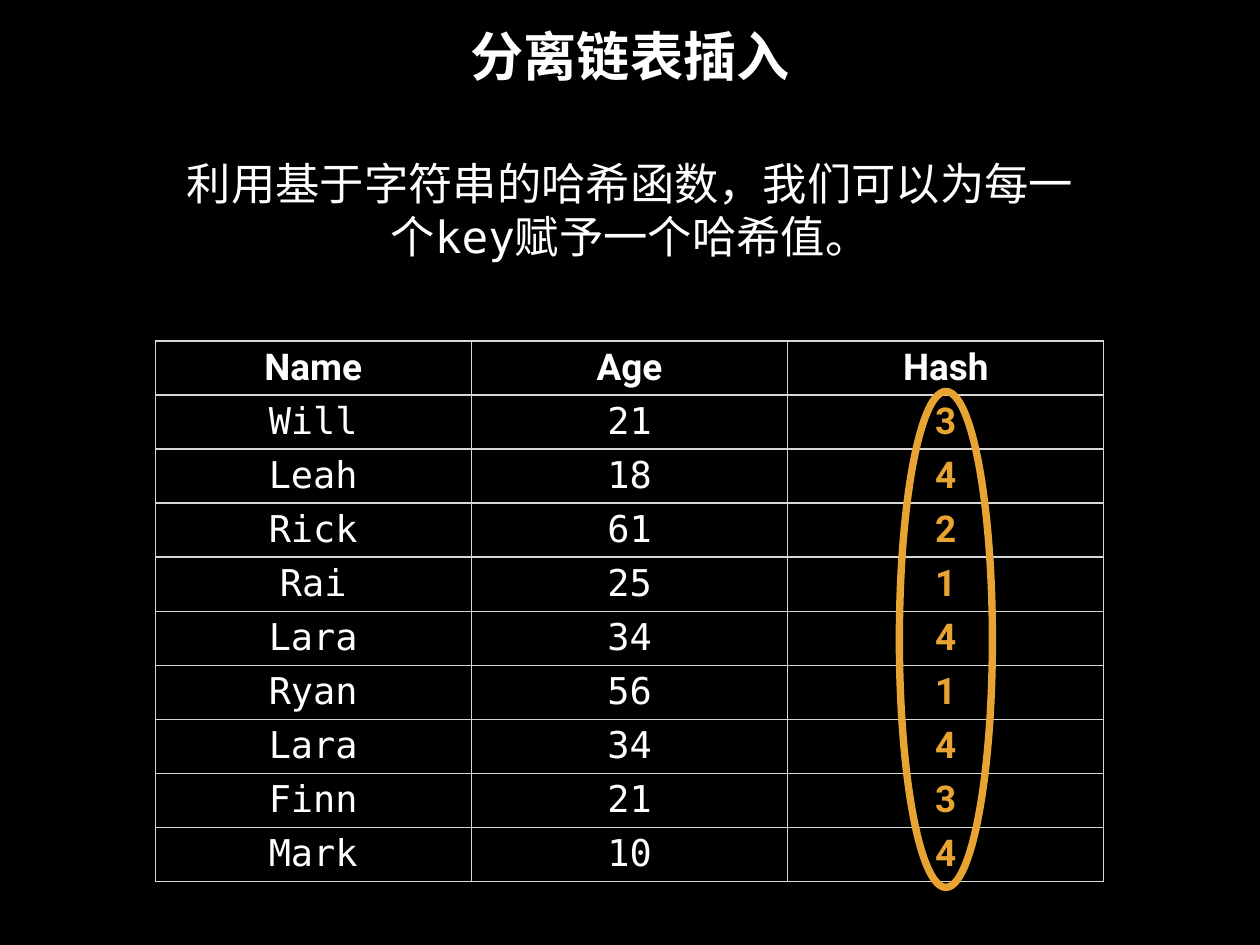
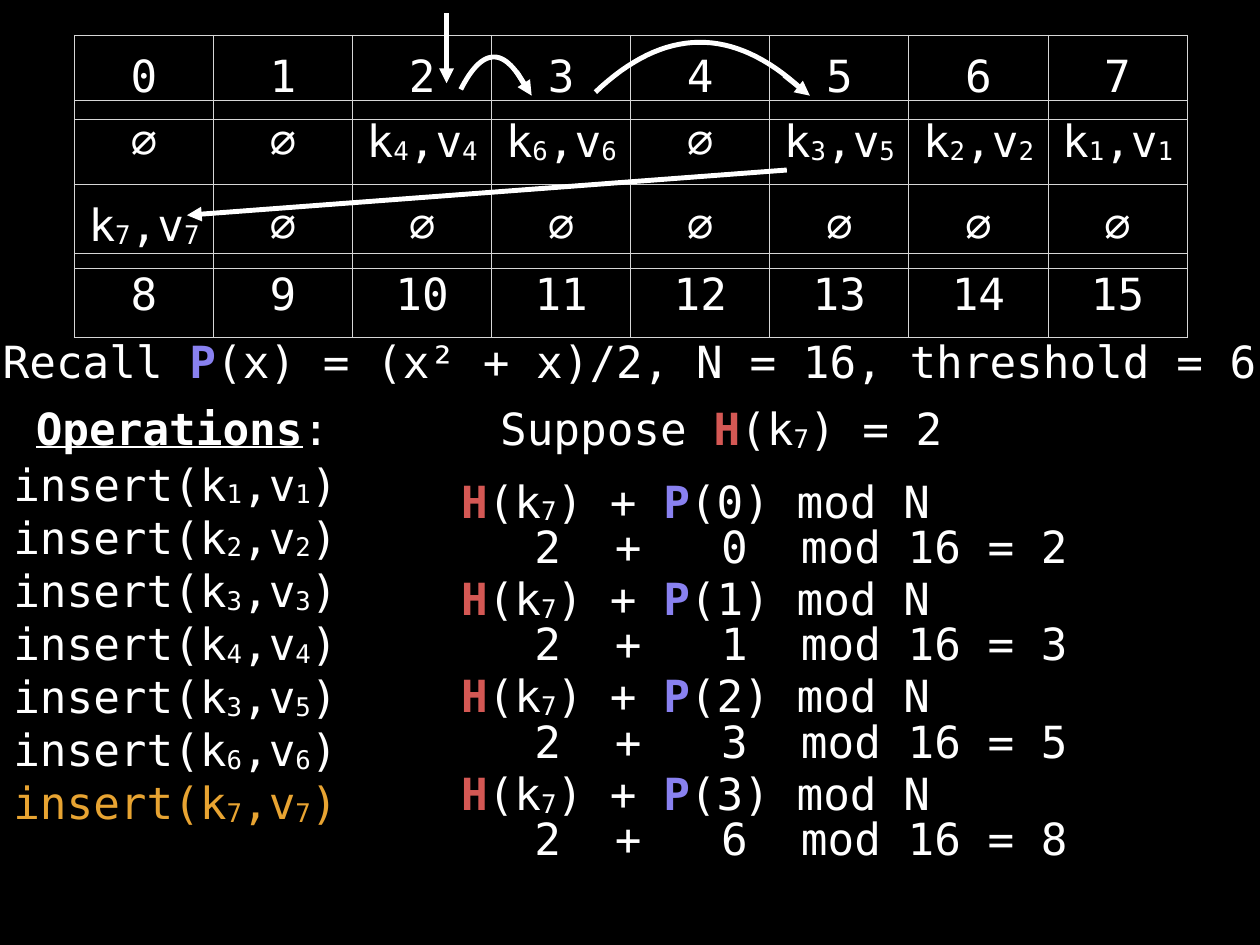
"""Builds two hash table slides: hash values for separate chaining, and quadratic probing."""
from dataclasses import dataclass

from lxml import etree
from pptx import Presentation
from pptx.dml.color import RGBColor
from pptx.enum.shapes import MSO_CONNECTOR, MSO_SHAPE
from pptx.enum.text import MSO_ANCHOR, PP_ALIGN
from pptx.oxml.ns import qn
from pptx.util import Pt

LEFT, CENTER = PP_ALIGN.LEFT, PP_ALIGN.CENTER
TOP, MIDDLE = MSO_ANCHOR.TOP, MSO_ANCHOR.MIDDLE
STRAIGHT, OVAL = MSO_CONNECTOR.STRAIGHT, MSO_SHAPE.OVAL
PX = 9144
SLIDE_W, SLIDE_H = 1422, 1067


@dataclass(frozen=True)
class Theme:
    """Colours, fonts and sizes."""
    back: str = "000000"
    text: str = "FFFFFF"
    grid: str = "D6D6D6"
    accent: str = "E8A432"
    hash: str = "D45854"
    probe: str = "8981F0"
    mono: str = "DejaVu Sans Mono"
    sans: str = "Roboto"
    title: float = 43.2
    body: int = 36
    table: int = 30
    inset: int = 5
    grid_line: int = 1
    arrow_line: int = 4
    ring_line: int = 6


T = Theme()
STYLES = {
    "": {},
    "title": {"size": T.title, "bold": True},
    "head": {"size": T.table, "font": T.sans, "bold": True},
    "data": {"size": T.table},
    "hash value": {"size": T.table, "font": T.sans, "bold": True, "color": T.accent},
    "sub": {"sub": True},
    "new": {"color": T.accent},
    "new sub": {"color": T.accent, "sub": True},
    "H": {"color": T.hash, "bold": True},
    "P": {"color": T.probe, "bold": True},
    "heading": {"bold": True, "underline": True},
}

TITLE = "分离链表插入"
INTRO = "利用基于字符串的哈希函数，我们可以为每一个key赋予一个哈希值。"
HEADERS = ["Name", "Age", "Hash"]
PEOPLE = [
    ("Will", 21, 3), ("Leah", 18, 4), ("Rick", 61, 2),
    ("Rai", 25, 1), ("Lara", 34, 4), ("Ryan", 56, 1),
    ("Lara", 34, 4), ("Finn", 21, 3), ("Mark", 10, 4),
]

N, HALF, START = 16, 8, 2
INSERTS = [(1, 1), (2, 2), (3, 3), (4, 4), (3, 5), (6, 6), (7, 7)]
SLOTS = {2: (4, 4), 3: (6, 6), 5: (3, 5), 6: (2, 2), 7: (1, 1), 8: (7, 7)}
SLOT_TABLE_TOPS = {"first": 113, "second": 208, "first index": 40, "second index": 286}
H_K7 = [("H", "H"), ("(k", ""), ("7", "sub")]
RECALL = [("Recall ", ""), ("P", "P"), ("(x) = (x² + x)/2, N = 16, threshold = 6", "")]
OPERATIONS = [("Operations", "heading"), (":", "")]
SUPPOSE = [("Suppose ", ""), *H_K7, (") = 2", "")]
SUM_TABS = [90, 181, 301, 391]
ARROWS = [
    ((504, 15), (504, 94)),
    ((583, 81), (600, 108)),
    ((885, 85), (914, 108)),
    ((888, 192), (211, 243)),
]
HOPS = [
    [(520, 101), (544, 54), (568, 52), (592, 96)],
    [(672, 104), (750, 30), (827, 29), (905, 101)],
]


def rgb(value):
    return RGBColor.from_string(value)


def key_value(k, v, tone=""):
    sub = f"{tone} sub".strip()
    return [("k", tone), (str(k), sub), (",v", tone), (str(v), sub)]


def add_runs(p, runs, align):
    p.alignment = align
    for text, name in runs:
        style = STYLES[name]
        r = p.add_run()
        r.text = text
        r.font.size = Pt(style.get("size", T.body))
        r.font.name = style.get("font", T.mono)
        r.font.color.rgb = rgb(style.get("color", T.text))
        r.font.bold = style.get("bold", False)
        r.font.underline = style.get("underline", False)
        if style.get("sub"):
            r._r.get_or_add_rPr().set("baseline", "-6000")


def add_text(s, box, paragraphs, align=CENTER, anchor=MIDDLE, wrap=False, tabs=()):
    tf = s.shapes.add_textbox(*(v * PX for v in box)).text_frame
    tf.word_wrap = wrap
    tf.vertical_anchor = anchor
    tf.margin_left = tf.margin_right = tf.margin_top = tf.margin_bottom = T.inset * PX
    for i, runs in enumerate(paragraphs):
        p = tf.add_paragraph() if i else tf.paragraphs[0]
        if tabs:
            tab_list = etree.SubElement(p._p.get_or_add_pPr(), qn("a:tabLst"))
            for pos in tabs:
                etree.SubElement(tab_list, qn("a:tab"), pos=str(pos * PX), algn="l")
        add_runs(p, runs, align)


def add_borders(cell):
    tc_pr = cell._tc.get_or_add_tcPr()
    for side in ("lnL", "lnR", "lnT", "lnB"):
        ln = etree.SubElement(tc_pr, qn(f"a:{side}"), w=str(Pt(T.grid_line)))
        fill = etree.SubElement(ln, qn("a:solidFill"))
        etree.SubElement(fill, qn("a:srgbClr"), val=T.grid)


def add_grid(s, left, top, col_w, row_h, rows):
    n_rows, n_cols = len(rows), len(rows[0])
    table = s.shapes.add_table(n_rows, n_cols, left * PX, top * PX,
                               n_cols * col_w * PX, n_rows * row_h * PX).table
    table.first_row = table.horz_banding = False
    for column in table.columns:
        column.width = col_w * PX
    for row, contents in zip(table.rows, rows):
        row.height = row_h * PX
        for cell, runs in zip(row.cells, contents):
            add_borders(cell)
            cell.fill.background()
            cell.vertical_anchor = MIDDLE
            cell.margin_left = cell.margin_right = T.inset * PX
            cell.margin_top = cell.margin_bottom = T.inset * PX
            add_runs(cell.text_frame.paragraphs[0], runs, CENTER)


def add_arrow(s, start, end):
    line = s.shapes.add_connector(STRAIGHT, *(v * PX for v in (*start, *end)))
    line.line.color.rgb = rgb(T.text)
    line.line.width = Pt(T.arrow_line)
    etree.SubElement(line.line._get_or_add_ln(), qn("a:tailEnd"), type="triangle")
    etree.SubElement(line._element.spPr, qn("a:effectLst"))


def add_outline(sp, color, width):
    sp.shadow.inherit = False
    sp.fill.background()
    sp.line.color.rgb = rgb(color)
    sp.line.width = Pt(width)


def add_hop(s, controls, steps=32):
    points = []
    for i in range(steps + 1):
        t = i / steps
        weights = ((1 - t) ** 3, 3 * t * (1 - t) ** 2, 3 * t * t * (1 - t), t ** 3)
        points.append(tuple(round(PX * sum(w * c[axis] for w, c in zip(weights, controls)))
                            for axis in (0, 1)))
    builder = s.shapes.build_freeform(*points[0])
    builder.add_line_segments(points[1:], close=False)
    add_outline(builder.convert_to_shape(), T.text, T.arrow_line)


def build_chaining(s):
    add_text(s, (0, -3, SLIDE_W, 130), [[(TITLE, "title")]], wrap=True)
    add_text(s, (200, 170, 1022, 132), [[(INTRO, "")]], wrap=True)
    rows = [[[(header, "head")] for header in HEADERS]]
    for name, age, value in PEOPLE:
        rows.append([[(name, "data")], [(str(age), "data")], [(str(value), "hash value")]])
    add_grid(s, 175, 385, 357, 61, rows)
    ring = s.shapes.add_shape(OVAL, *(v * PX for v in (1015, 442, 105, 560)))
    add_outline(ring, T.accent, T.ring_line)


def build_probing(s):
    slots = [key_value(*SLOTS[i]) if i in SLOTS else [("∅", "")] for i in range(N)]
    indexes = [[(str(i), "")] for i in range(N)]
    halves = (slots[:HALF], slots[HALF:], indexes[:HALF], indexes[HALF:])
    for top, cells in zip(SLOT_TABLE_TOPS.values(), halves):
        add_grid(s, 84, top, 157, 95, [cells])

    add_text(s, (34, 449, 344, 68), [OPERATIONS])
    add_text(s, (-69, 373, 1559, 68), [RECALL], wrap=True)
    add_text(s, (557, 449, 514, 68), [SUPPOSE])

    for x in range(4):
        top = 531 + 110 * x
        probe = x * (x + 1) // 2
        formula = [*H_K7, (") + ", ""), ("P", "P"), (f"({x}) mod N", "")]
        total = f"\t{START}\t+\t{probe}\tmod {N} = {(START + probe) % N}"
        add_text(s, (513, top, 544, 68), [formula])
        add_text(s, (508, top + 51, 720, 68), [[(total, "")]], LEFT, wrap=True, tabs=SUM_TABS)

    for hop in HOPS:
        add_hop(s, hop)
    for start, end in ARROWS:
        add_arrow(s, start, end)

    calls = []
    for i, (k, v) in enumerate(INSERTS):
        tone = "new" if i == len(INSERTS) - 1 else ""
        calls.append([("insert(", tone), *key_value(k, v, tone), (")", tone)])
    add_text(s, (10, 511, 414, 410), calls, LEFT, TOP)


def main():
    prs = Presentation()
    prs.slide_width, prs.slide_height = SLIDE_W * PX, SLIDE_H * PX
    fill = prs.slide_master.background.fill
    fill.solid()
    fill.fore_color.rgb = rgb(T.back)
    for build in (build_chaining, build_probing):
        build(prs.slides.add_slide(prs.slide_layouts[6]))
    prs.save("out.pptx")


if __name__ == "__main__":
    main()
